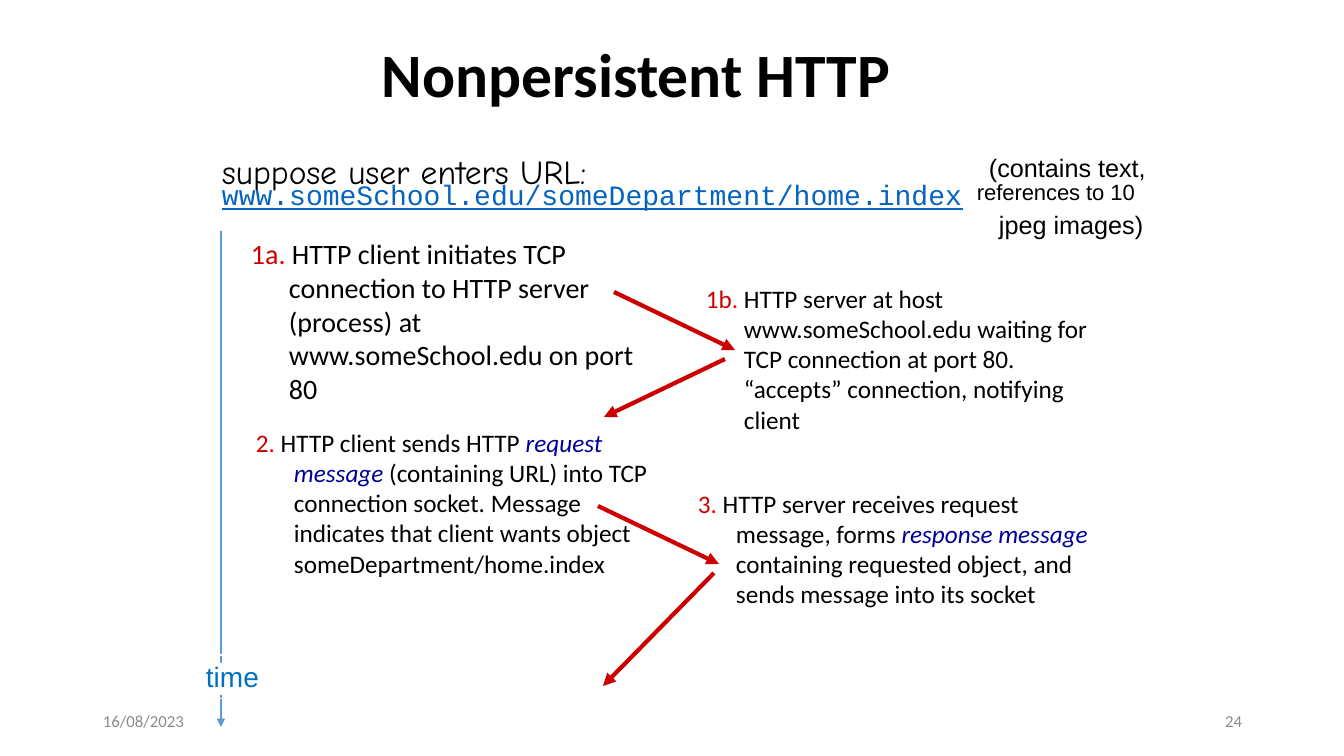
from lxml import etree
from pptx import Presentation
from pptx.dml.color import RGBColor
from pptx.enum.shapes import MSO_CONNECTOR, MSO_SHAPE
from pptx.enum.text import MSO_ANCHOR, PP_ALIGN
from pptx.oxml.ns import qn
from pptx.util import Pt

LINE = MSO_CONNECTOR.STRAIGHT
RECT = MSO_SHAPE.RECTANGLE
TOP, MIDDLE = MSO_ANCHOR.TOP, MSO_ANCHOR.MIDDLE
LEFT, CENTER, RIGHT = PP_ALIGN.LEFT, PP_ALIGN.CENTER, PP_ALIGN.RIGHT
SCALE = 914400 / 100.8

THEME = {
    "ink": "000000", "paper": "FFFFFF", "gray": "8C8C8C", "step": "CC0000",
    "dot": "FF0000", "term": "000099", "link": "0563C1", "axis": "5B9BD5",
    "time": "0070C0",
    "title": 44, "intro": 24, "big": 20, "body": 18, "small": 12, "raised": 27,
}


def px(count):
    return round(count * SCALE)


def write(box, size, face, color, inset=True, anchor=TOP, align=LEFT, text=""):
    frame = slide.shapes.add_textbox(*map(px, box)).text_frame
    frame.word_wrap = True
    frame.vertical_anchor = anchor
    if not inset:
        frame.margin_left = frame.margin_right = 0
        frame.margin_top = frame.margin_bottom = 0
    para = frame.paragraphs[0]
    para.alignment = align
    para.font.size = Pt(THEME[size])
    para.font.name = face
    para.font.color.rgb = RGBColor.from_string(THEME[color])
    if text:
        para.add_run().text = text
    return frame


deck = Presentation()
deck.slide_width, deck.slide_height = px(1344), px(756)
slide = deck.slides.add_slide(deck.slide_layouts[6])

title = write((382, 17, 744, 93), "title", "Calibri", "ink", False, MIDDLE,
              text="Nonpersistent HTTP")
title.margin_top = px(18)
title.paragraphs[0].font.bold = True
title.paragraphs[0].space_before = Pt(0)

for left, align, text in ((93, LEFT, "16/08/2023"), (950, RIGHT, "24")):
    write((left, 701, 302, 40), "small", "Calibri", "gray", True, MIDDLE, align, text)

write((222, 151, 400, 40), "intro", "Comic Neue", "ink", False,
      text="suppose user enters URL:")
write((989, 152, 159, 30), "body", "Arial", "ink", False, text="(contains text,")

frame = write((222, 182, 938, 58), "big", "Courier New", "ink", False)
para = frame.paragraphs[0]
para.line_spacing = Pt(21.9)
props = para._p.get_or_add_pPr()
tabs = etree.Element(qn("a:tabLst"))
etree.SubElement(tabs, qn("a:tab"), pos=str(px(755)), algn="l")
props.find(qn("a:defRPr")).addprevious(tabs)
link = para.add_run()
link.text = "www.someSchool.edu/someDepartment/home.index"
link.font.underline = True
link.font.color.rgb = RGBColor.from_string(THEME["link"])
gap = para.add_run()
gap.text = "\t"
gap.font.name = "Times New Roman"
note = para.add_run()
note.text = "references to 10"
note.font.name = "Arial"
note.font.size = Pt(THEME["raised"])
note._r.get_or_add_rPr().set("baseline", "12000")
para = frame.add_paragraph()
para.line_spacing = Pt(19.4)
para.font.size = Pt(THEME["body"])
para.font.name = "Arial"
para.font.color.rgb = RGBColor.from_string(THEME["ink"])
para.add_run().text = "jpeg images)"
props = para._p.get_or_add_pPr()
props.set("marL", str(px(28)))
props.set("indent", str(px(749)))

ARROWS = (
    (221, 231, 221, 727, "axis", 1.5),
    (614, 292, 735, 350, "step", 3),
    (725, 359, 604, 417, "step", 3),
    (598, 506, 719, 564, "step", 3),
    (714, 573, 603, 686, "step", 3),
)
for *ends, color, width in ARROWS:
    arrow = slide.shapes.add_connector(LINE, *map(px, ends))
    arrow.line.color.rgb = RGBColor.from_string(THEME[color])
    arrow.line.width = Pt(width)
    etree.SubElement(arrow.line._get_or_add_ln(), qn("a:tailEnd"), type="triangle")
    etree.SubElement(arrow._element.spPr, qn("a:effectLst"))

cover = slide.shapes.add_shape(RECT, *map(px, (195, 663, 73, 32)))
cover.fill.solid()
cover.fill.fore_color.rgb = RGBColor.from_string(THEME["paper"])
cover.line.fill.background()
cover.shadow.inherit = False

label = slide.shapes.add_shape(RECT, *map(px, (195, 655, 75, 44)))
label.fill.background()
label.line.color.rgb = RGBColor.from_string(THEME["paper"])
label.line.width = Pt(0.75)
label.shadow.inherit = False
label.text_frame.word_wrap = False
label.text_frame.vertical_anchor = TOP
para = label.text_frame.paragraphs[0]
para.alignment = CENTER
para.font.size = Pt(THEME["big"])
para.font.name = "Arial"
para.font.color.rgb = RGBColor.from_string(THEME["time"])
para.add_run().text = "time"

STEPS = (
    ((241, 232, 434, 210), "big", "1a",
     " HTTP client initiates TCP connection to HTTP server (process) at "
     "www.someSchool.edu on port 80", "", ""),
    ((246, 422, 420, 119), "body", "2", " HTTP client sends HTTP ", "request message",
     " (containing URL) into TCP connection socket. Message indicates that client "
     "wants object someDepartment/home.index"),
    ((696, 278, 420, 166), "body", "1b",
     " HTTP server at host www.someSchool.edu waiting for TCP connection at port 80. "
     "“accepts” connection, notifying client", "", ""),
    ((688, 483, 420, 199), "body", "3", " HTTP server receives request message, forms ",
     "response message",
     " containing requested object, and sends message into its socket"),
)
for box, size, mark, lead, term, rest in STEPS:
    para = write(box, size, "Calibri", "ink").paragraphs[0]
    props = para._p.get_or_add_pPr()
    props.set("marL", str(px(38)))
    props.set("indent", str(px(-38)))
    parts = ((mark, "step"), (".", "dot"), (lead, "ink"), (term, "term"), (rest, "ink"))
    for text, color in parts:
        if text:
            run = para.add_run()
            run.text = text
            run.font.color.rgb = RGBColor.from_string(THEME[color])
            if color == "term":
                run.font.italic = True

deck.save("out.pptx")
